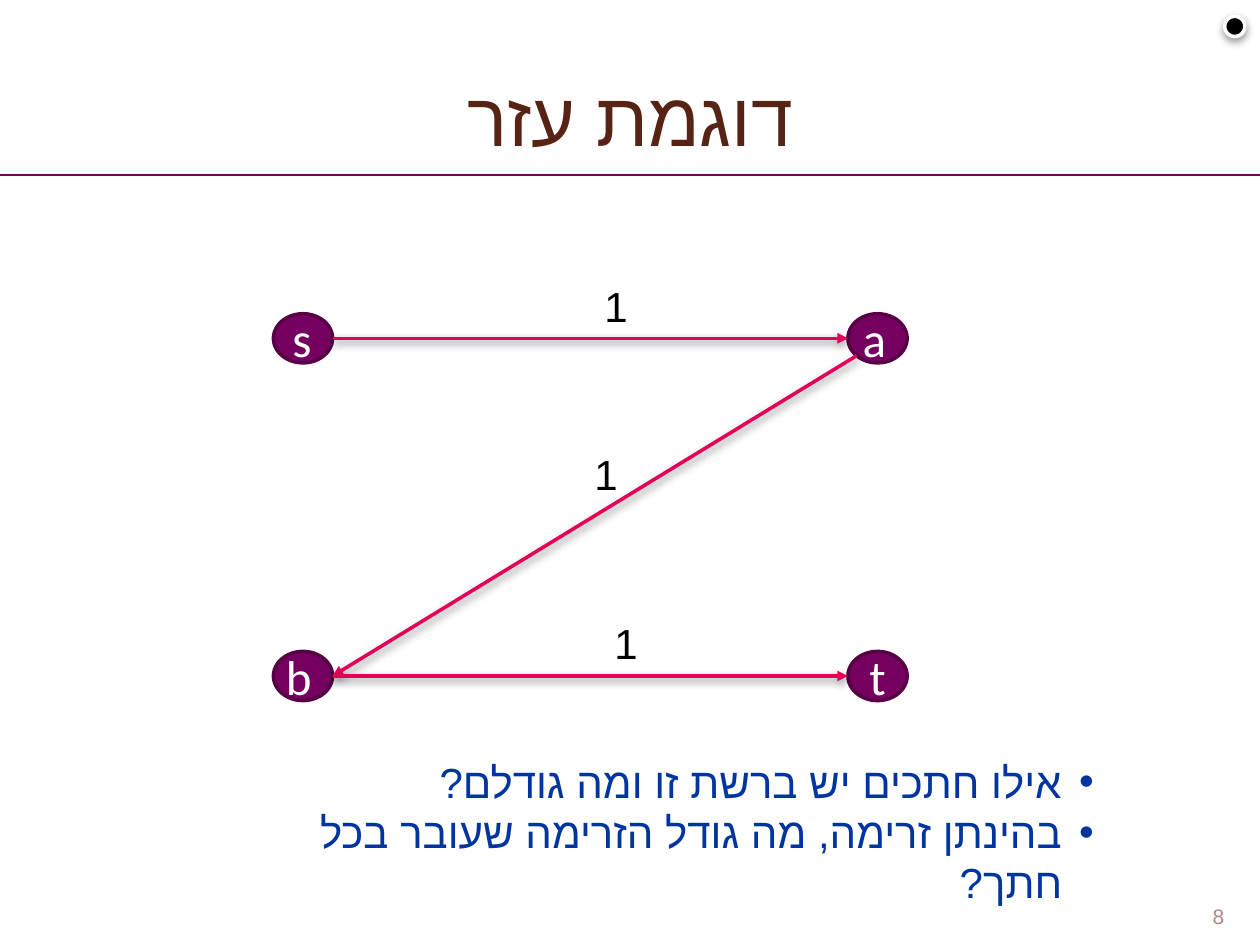
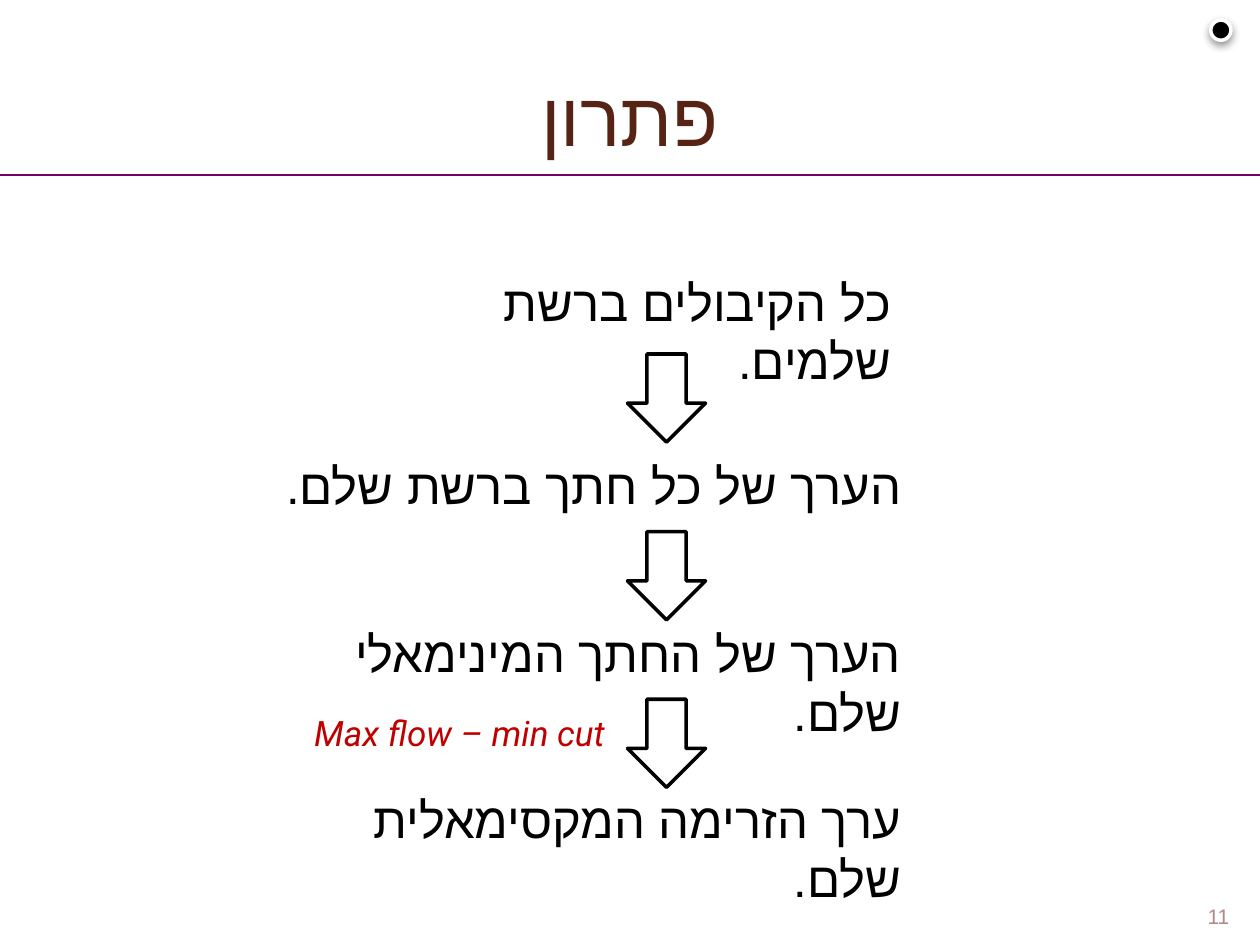
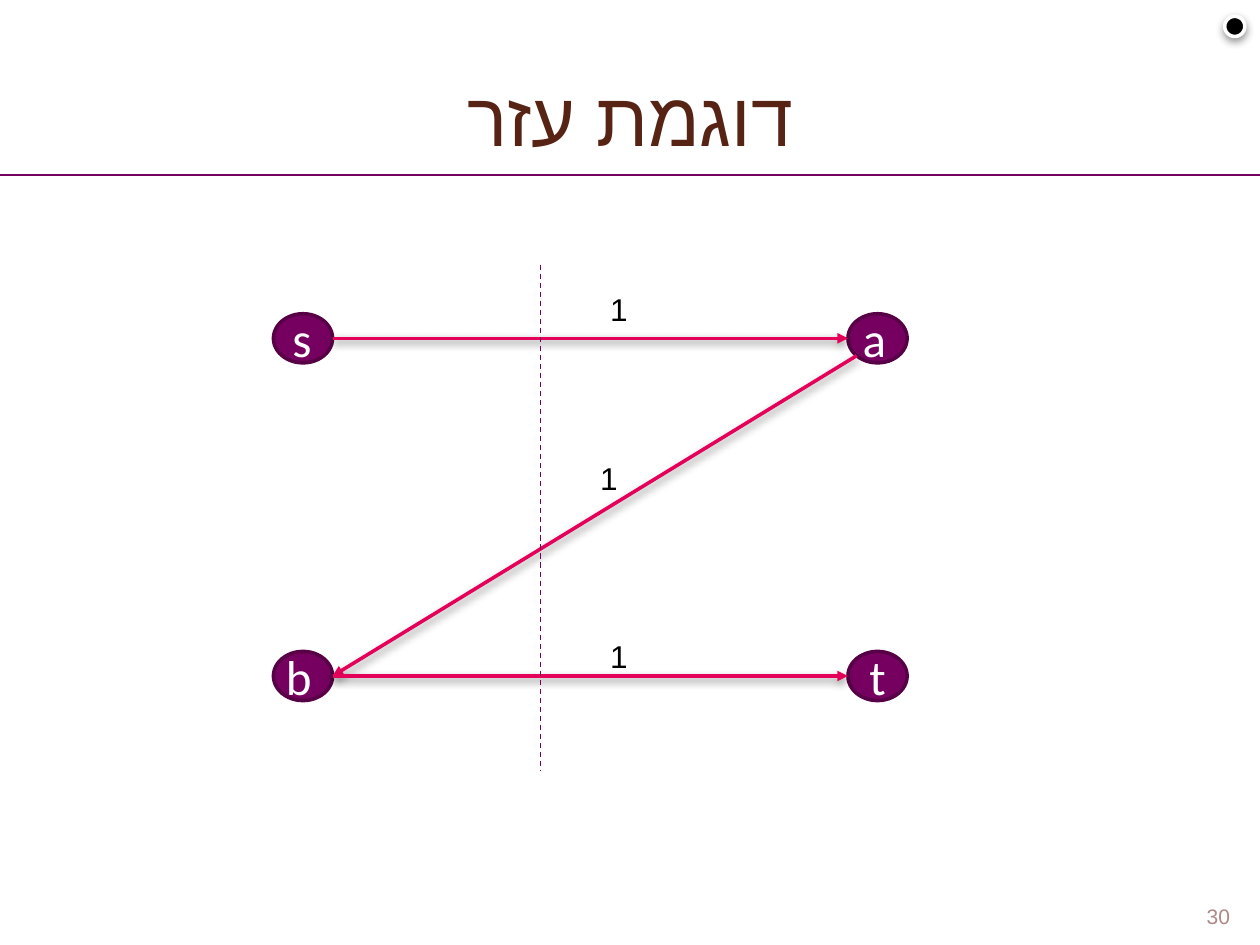
"""Builds three right-to-left slides on minimum cuts and maximum flow."""
import math
from dataclasses import dataclass

from lxml import etree
from pptx import Presentation
from pptx import util as u
from pptx.dml.color import RGBColor
from pptx.enum import dml, shapes, text
from pptx.oxml import ns

Pt = u.Pt
CENTER, RIGHT = text.PP_ALIGN.CENTER, text.PP_ALIGN.RIGHT


@dataclass(frozen=True)
class Theme:
    title: str = "572314"
    rule: str = "75005F"
    node_edge: str = "570046"
    flow: str = "E40059"
    ink: str = "000000"
    paper: str = "FFFFFF"
    question: str = "00349E"
    theorem: str = "C00000"
    number: str = "AF8888"
    title_size: float = 43
    large_size: float = 28
    medium_size: float = 24
    theorem_size: float = 20
    small_size: float = 18
    number_size: float = 12
    heading_font: str = "Calibri"
    body_font: str = "Arial"
    theorem_font: str = "Roboto"
    thick: float = 2
    thin: float = 0.75


def rgb(value):
    return RGBColor.from_string(value)


def add_xml(parent, tag, **attributes):
    return etree.SubElement(parent, ns.qn(tag), attributes)


class Deck:
    def __init__(self, theme):
        self.theme = theme
        self.prs = Presentation()
        self.prs.slide_width, self.prs.slide_height = Pt(720), Pt(540)
        self.slide = None

    def start(self, title, number, dot=(699.84, 9.36), layout=5):
        t = self.theme
        self.slide = self.prs.slides.add_slide(self.prs.slide_layouts[layout])
        heading = self.slide.shapes.title
        self.place(heading, 0, 21.6, 720, 90)
        self.set_words(heading, [title], t.title_size, t.title, t.heading_font, CENTER)
        self.line((0, 100.08), (720, 100.08), t.rule, t.thin)
        self.shape(shapes.MSO_SHAPE.OVAL, (*dot, 11.52, 11.52), t.ink, t.paper, True)
        self.label(str(number), (678.24, 496.8, 36, 37.44), t.number_size, t.number,
                   t.heading_font, CENTER, text.MSO_ANCHOR.BOTTOM)

    def place(self, shape, left, top, width, height):
        shape.left, shape.top = Pt(left), Pt(top)
        shape.width, shape.height = Pt(width), Pt(height)

    def set_words(self, shape, lines, size, color, font, align=RIGHT, italic=None,
                  bullet=None):
        frame = shape.text_frame
        frame.word_wrap = True
        frame.text = "\n".join(lines)
        for paragraph in frame.paragraphs:
            paragraph.alignment = align
            paragraph.space_before = Pt(0)
            properties = paragraph._p.get_or_add_pPr()
            properties.set("rtl", "1")
            if bullet:
                properties.set("marL", str(Pt(18)))
                properties.set("indent", str(Pt(-18)))
                add_xml(properties, "a:buFont", typeface=font)
                add_xml(properties, "a:buChar", char=bullet)
            for run in paragraph.runs:
                run.font.size, run.font.name, run.font.italic = Pt(size), font, italic
                run.font.color.rgb = rgb(color)
                add_xml(run._r.get_or_add_rPr(), "a:cs", typeface=self.theme.body_font)

    def label(self, words, box, size, color, font, align=RIGHT,
              anchor=text.MSO_ANCHOR.TOP, italic=None):
        area = self.slide.shapes.add_textbox(*map(Pt, box))
        area.text_frame.vertical_anchor = anchor
        self.set_words(area, [words], size, color, font, align, italic)

    def questions(self, lines, box):
        t = self.theme
        body = self.slide.placeholders[1]
        self.place(body, *box)
        self.set_words(body, lines, t.medium_size, t.question, t.body_font, bullet="•")
        body.text_frame.auto_size = text.MSO_AUTO_SIZE.NONE

    def cast_shadow(self, effects):
        shadow = add_xml(effects, "a:outerShdw", blurRad=str(Pt(5)), dist=str(Pt(2)),
                         dir="5400000", algn="ctr", rotWithShape="0")
        add_xml(add_xml(shadow, "a:srgbClr", val=self.theme.ink), "a:alpha", val="43000")

    def shape(self, kind, box, fill, edge, shadow=False):
        shape = self.slide.shapes.add_shape(kind, *map(Pt, box))
        if fill:
            shape.fill.solid()
            shape.fill.fore_color.rgb = rgb(fill)
        else:
            shape.fill.background()
        shape.line.color.rgb = rgb(edge)
        shape.line.width = Pt(self.theme.thick)
        shape.shadow.inherit = False
        if shadow:
            self.cast_shadow(shape._element.spPr.find(ns.qn("a:effectLst")))
        return shape

    def line(self, start, end, color, width, arrow=False, dash=None):
        line = self.slide.shapes.add_connector(
            shapes.MSO_CONNECTOR.STRAIGHT, *map(Pt, (*start, *end)))
        line.line.color.rgb = rgb(color)
        line.line.width = Pt(width)
        if dash:
            line.line.dash_style = dash
        if arrow:
            add_xml(line.line._get_or_add_ln(), "a:tailEnd", type="triangle")
        effects = add_xml(line._element.spPr, "a:effectLst")
        if arrow:
            self.cast_shadow(effects)

    def network(self, capacity_size, capacity_places):
        t = self.theme
        left, right, top, bottom = 156.24, 484.56, 179.28, 372.24
        width, height = 33.84, 28.08
        nodes = {"s": (left, top), "a": (right, top), "b": (left, bottom), "t": (right, bottom)}
        for name, corner in nodes.items():
            node = self.shape(shapes.MSO_SHAPE.OVAL, (*corner, width, height),
                              t.rule, t.node_edge)
            node.text_frame.vertical_anchor = text.MSO_ANCHOR.MIDDLE
            self.set_words(node, [name], t.large_size, t.paper, t.heading_font, CENTER)

        def rim(name, degrees):
            x, y = nodes[name]
            angle = math.radians(degrees)
            return (x + width / 2 * (1 + math.cos(angle)),
                    y + height / 2 * (1 + math.sin(angle)))

        edges = ((("s", 0), ("a", 180)), (("a", 135), ("b", 0)), (("b", 0), ("t", 180)))
        for start, end in edges:
            self.line(rim(*start), rim(*end), t.flow, t.thick, arrow=True)
        for place in capacity_places:
            self.label("1", (*place, 39.6, 1.5 * capacity_size), capacity_size,
                       t.ink, t.body_font)

    def statement(self, words, box):
        t = self.theme
        self.label(words, box, t.large_size, t.ink, t.body_font)

    def implies(self, top):
        self.shape(shapes.MSO_SHAPE.DOWN_ARROW, (358.56, top, 44.64, 50.4),
                   None, self.theme.ink)


def main():
    theme = Theme()
    deck = Deck(theme)

    deck.start("דוגמת עזר", 8, layout=1)
    deck.network(theme.medium_size, ((326.16, 156.96), (320.4, 252.72), (331.92, 349.2)))
    deck.questions(["אילו חתכים יש ברשת זו ומה גודלם?",
                    "בהינתן זרימה, מה גודל הזרימה שעובר בכל חתך?"],
                   (172.8, 428.4, 459.36, 65.52))

    deck.start("פתרון", 11, dot=(691.92, 11.52))
    deck.statement("כל הקיבולים ברשת שלמים.", (206.64, 151.92, 309.6, 41.04))
    for words, top, arrow_top in (("הערך של כל חתך ברשת שלם.", 257.04, 202.32),
                                  ("הערך של החתך המינימאלי שלם.", 352.8, 303.84),
                                  ("ערך הזרימה המקסימאלית שלם.", 447.84, 399.6)):
        deck.implies(arrow_top)
        deck.statement(words, (150.48, top, 371.52, 41.04))
    deck.label("Max flow – min cut", (167.04, 403.2, 185.76, 31.68), theme.theorem_size,
               theme.theorem, theme.theorem_font, italic=True)

    deck.start("דוגמת עזר", 30)
    deck.network(theme.small_size, ((326.16, 162), (320.4, 258.48), (326.16, 360.72)))
    deck.line((308.88, 151.2), (308.88, 440.64), theme.rule, theme.thin,
              dash=dml.MSO_LINE.DASH)

    deck.prs.save("out.pptx")


if __name__ == "__main__":
    main()
